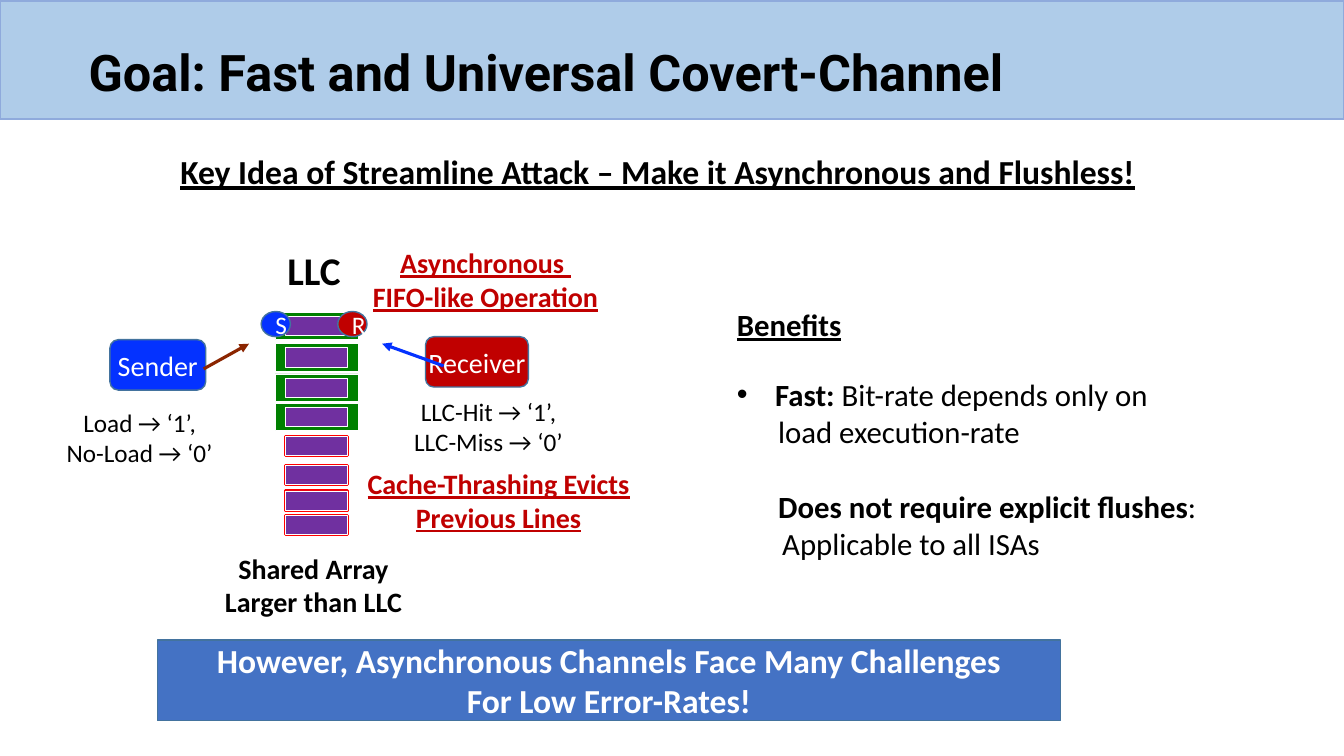
from lxml.etree import SubElement
from pptx import Presentation
from pptx.dml.color import RGBColor
from pptx.enum.shapes import MSO_CONNECTOR, MSO_SHAPE
from pptx.enum.text import MSO_ANCHOR, PP_ALIGN
from pptx.oxml.ns import qn
from pptx.util import Inches, Pt

HUES = {
    "black": "000000", "white": "FFFFFF", "band": "AFCCE9", "rim": "8FAADC",
    "blue": "0432FF", "red": "C00000", "green": "008000", "purple": "7030A0",
    "alert": "FF0000", "brown": "8B2500", "edge": "43739E", "note": "4472C4",
}

deck = Presentation()
deck.slide_width, deck.slide_height = Inches(13.33), Inches(7.5)
slide = deck.slides.add_slide(deck.slide_layouts[6])
shapes = slide.shapes


def block(kind, box, fill, line, weight):
    """Add a filled, outlined preset shape, or a text box if kind is None."""
    spot = [Inches(n) for n in box]
    if kind is None:
        return shapes.add_textbox(*spot)
    shape = shapes.add_shape(kind, *spot)
    shape.shadow.inherit = False
    shape.fill.solid()
    shape.fill.fore_color.rgb = RGBColor.from_string(HUES[fill])
    shape.line.color.rgb = RGBColor.from_string(HUES[line])
    shape.line.width = Pt(weight)
    return shape


def write(shape, text, size, hue="black", bold=False, under=False,
          align=PP_ALIGN.CENTER, anchor=MSO_ANCHOR.TOP, face="Calibri"):
    frame = shape.text_frame
    frame.word_wrap = True
    frame.vertical_anchor = anchor
    frame.text = text
    for para in frame.paragraphs:
        para.alignment = align
        for run in para.runs:
            font = run.font
            font.name, font.size = face, Pt(size)
            font.bold, font.underline = bold, under
            font.color.rgb = RGBColor.from_string(HUES[hue])
    return frame


# Title band
block(MSO_SHAPE.RECTANGLE, (0, 0.01, 13.33, 1.17), "band", "rim", 1)
title = block(None, (0.78, 0.36, 12.5, 0.78), None, None, 0)
frame = write(title, "Goal: Fast and Universal Covert-Channel", 36, bold=True,
              align=PP_ALIGN.LEFT, anchor=MSO_ANCHOR.MIDDLE, face="Roboto")
frame.paragraphs[0].line_spacing = 0.9

# Captions: box, text, size, colour, bold, underline, alignment
MID, LEFT = PP_ALIGN.CENTER, PP_ALIGN.LEFT
captions = [
    ((1.69, 1.45, 10.11, 0.5),
     "Key Idea of Streamline Attack – Make it Asynchronous and Flushless!",
     24, "black", True, True, LEFT),
    ((2.68, 2.39, 0.87, 0.56), "LLC", 28, "black", True, False, MID),
    ((1.93, 5.42, 2.36, 0.77), "Shared Array\nLarger than LLC",
     20, "black", True, False, MID),
    ((3.4, 2.39, 2.83, 0.77), "Asynchronous \nFIFO-like Operation",
     20, "red", True, True, MID),
    ((3.53, 4.58, 2.83, 0.77), "Cache-Thrashing Evicts Previous Lines",
     20, "red", True, True, MID),
    ((0.29, 3.99, 2.19, 0.71), "Load → ‘1’,\nNo-Load → ‘0’",
     18, "black", False, False, MID),
    ((3.75, 3.88, 2.19, 0.71), "LLC-Hit → ‘1’,\nLLC-Miss → ‘0’",
     18, "black", False, False, MID),
]
for box, *style in captions:
    write(block(None, box, None, None, 0), *style)

# Sender and receiver
for name, left, top, wide, hue in [("Sender", 1.09, 3.37, 0.95, "blue"),
                                   ("Receiver", 4.22, 3.34, 1.02, "red")]:
    party = block(MSO_SHAPE.FLOWCHART_ALTERNATE_PROCESS,
                  (left, top, wide, 0.5), hue, "edge", 1)
    frame = write(party, name, 20, "white", anchor=MSO_ANCHOR.MIDDLE)
    frame.margin_left = frame.margin_right = 0

for ends, hue in [((4.4, 3.63, 3.79, 3.41), "blue"),
                  ((2.02, 3.66, 2.47, 3.41), "brown")]:
    arrow = shapes.add_connector(MSO_CONNECTOR.STRAIGHT,
                                 *[Inches(n) for n in ends])
    arrow.line.color.rgb = RGBColor.from_string(HUES[hue])
    arrow.line.width = Pt(2.25)
    SubElement(arrow.line._get_or_add_ln(), qn("a:tailEnd"), type="triangle")
    SubElement(arrow._element.spPr, qn("a:effectLst"))

# Cached lines sit on green, evicted lines have a red rim
for top in (3.1, 3.41, 3.71, 4):
    block(MSO_SHAPE.RECTANGLE, (2.73, top, 0.82, 0.27), "green", "white", 0.5)
    block(MSO_SHAPE.RECTANGLE, (2.83, top + 0.04, 0.62, 0.19),
          "purple", "white", 0.5)
for top in (4.33, 4.62, 4.87, 5.11):
    for line, weight in (("alert", 2.25), ("white", 0.5)):
        block(MSO_SHAPE.RECTANGLE, (2.83, top, 0.62, 0.19),
              "purple", line, weight)

for mark, left, hue in [("R", 3.35, "red"), ("S", 2.59, "blue")]:
    dot = block(MSO_SHAPE.OVAL, (left, 3.09, 0.29, 0.25), hue, "edge", 1)
    write(dot, mark, 18, "white", anchor=MSO_ANCHOR.MIDDLE)

# Benefits: text, left margin, first-line indent, space before
points = [
    ("Benefits", 0, 0, 0),
    ("Fast: Bit-rate depends only on", 0.38, -0.38, 24),
    ("load execution-rate", 0.41, 0, 0),
    ("Does not require explicit flushes: Applicable to all ISAs",
     0.45, -0.04, 27),
]
panel = block(None, (7.21, 2.98, 5.25, 3.03), None, None, 0)
frame = write(panel, "\n".join(p[0] for p in points), 22, align=LEFT)
for para, (text, left, first, gap) in zip(frame.paragraphs, points):
    props = para._p.get_or_add_pPr()
    props.set("marL", str(Inches(left)))
    props.set("indent", str(Inches(first)))
    para.space_before = Pt(gap)
    lead, colon, rest = text.partition(":")
    if colon:
        run = para.runs[0]
        run.text = lead + colon if lead == "Fast" else lead
        tail = para.add_run()
        tail.text = text[len(run.text):]
        tail.font.name, tail.font.size = "Calibri", Pt(22)
        tail.font.color.rgb = RGBColor.from_string(HUES["black"])
        run.font.bold = True
    if lead == "Fast":
        SubElement(props, qn("a:buFont"), typeface="Arial")
        SubElement(props, qn("a:buChar"), char="•")
head = frame.paragraphs[0].runs[0].font
head.bold = head.underline = True

# Closing note
note = block(MSO_SHAPE.RECTANGLE, (1.56, 6.35, 8.96, 0.8), "note", "edge", 1)
write(note, "However, Asynchronous Channels Face Many Challenges\n"
      "For Low Error-Rates!", 24, "white", True, anchor=MSO_ANCHOR.MIDDLE)

deck.save("out.pptx")
